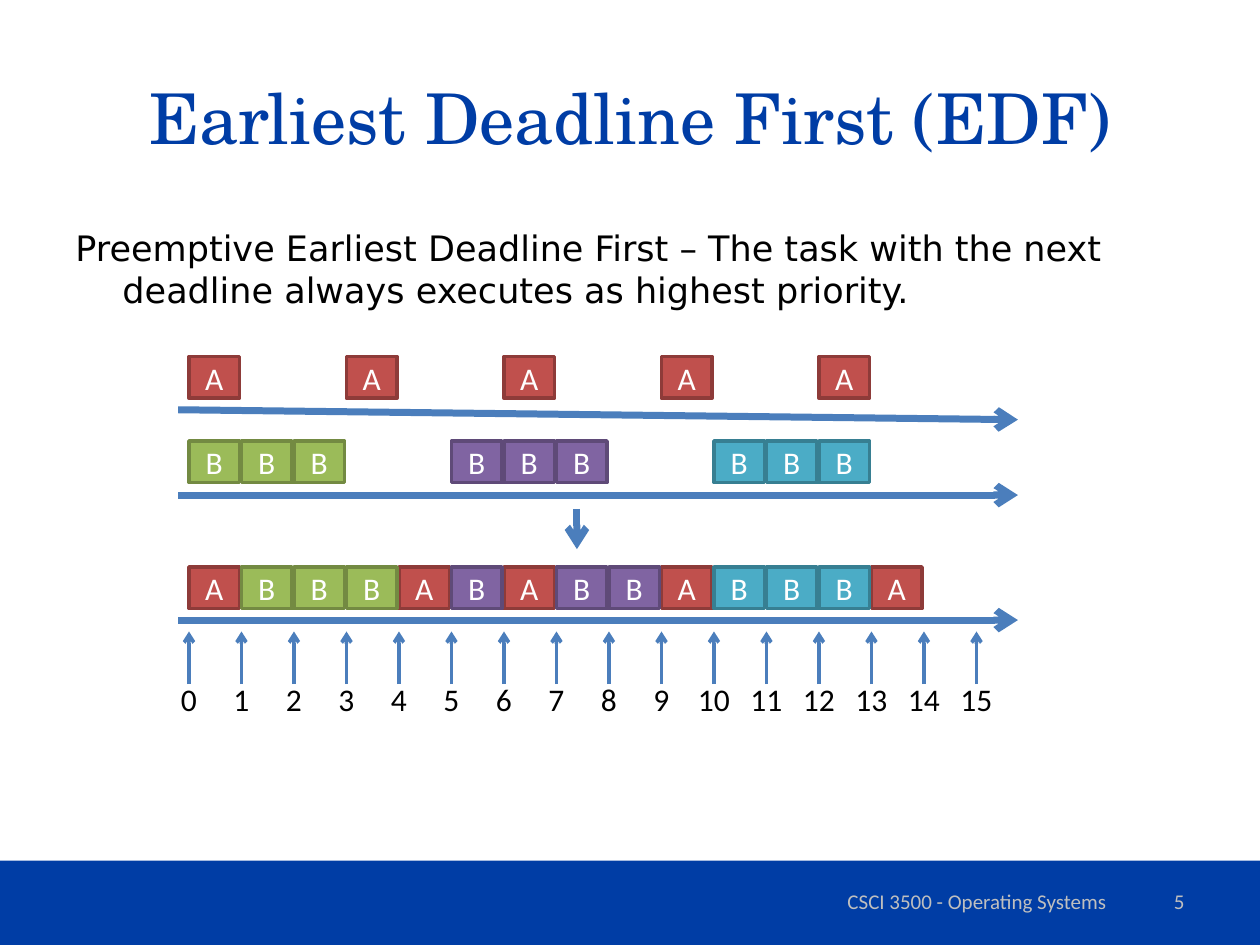
from lxml.etree import SubElement
from pptx import Presentation
from pptx.dml.color import RGBColor
from pptx.enum.shapes import MSO_CONNECTOR, MSO_SHAPE
from pptx.enum.text import MSO_ANCHOR, PP_ALIGN
from pptx.oxml.ns import qn
from pptx.util import Cm, Pt

# Content
TITLE = "Earliest Deadline First (EDF)"
BODY = ("Preemptive Earliest Deadline First – The task with the next "
        "deadline always executes as highest priority.")
FOOTER = "CSCI 3500 - Operating Systems"
PAGE = "5"

# Each job: label, fill, outline
JOBS = {
    "a": ("A", "C0504D", "8E3B39"),
    "b1": ("B", "9BBB59", "738A42"),
    "b2": ("B", "8064A2", "5F4A78"),
    "b3": ("B", "4BACC6", "377F92"),
}
# Each timeline: box top, axis start y, axis end y, jobs with their time slots
TIMELINES = [
    (7.19, 8.26, 8.46, {"a": [0, 3, 6, 9, 12]}),
    (8.89, 9.98, 9.98, {"b1": [0, 1, 2], "b2": [5, 6, 7], "b3": [10, 11, 12]}),
    (11.43, 12.5, 12.5, {"a": [0, 4, 6, 9, 13], "b1": [1, 2, 3],
                         "b2": [5, 7, 8], "b3": [10, 11, 12]}),
]
TICKS = range(16)

# Grid in centimetres
START, SLOT = 3.81, 12.7 / 12
BOX_W, BOX_H = 1.02, 0.84
AXIS_LEFT, AXIS_RIGHT = 3.59, 20.52
TICK_TOP, TICK_BOTTOM = 12.73, 13.79
LABEL_TOP, LABEL_H = 13.59, 1.02

BLUE, ARROW, GREY, BLACK, WHITE = "003DA5", "4B7EBC", "BFBFBF", "000000", "FFFFFF"


def color(hex_value):
    return RGBColor.from_string(hex_value)


def write(sp, text, size, font_color, font="Calibri", align=PP_ALIGN.CENTER,
          anchor=MSO_ANCHOR.MIDDLE, wrap=True):
    tf = sp.text_frame
    tf.word_wrap, tf.vertical_anchor = wrap, anchor
    p = tf.paragraphs[0]
    p.alignment = align
    r = p.add_run()
    r.text = text
    for name, value in {"name": font, "size": Pt(size), "bold": False}.items():
        setattr(r.font, name, value)
    r.font.color.rgb = color(font_color)
    return p


def add_text(s, box, text, size, font_color, **options):
    sp = s.shapes.add_textbox(*map(Cm, box))
    return write(sp, text, size, font_color, **options)


def add_rect(s, box, fill, outline=None):
    sp = s.shapes.add_shape(MSO_SHAPE.RECTANGLE, *map(Cm, box))
    sp.shadow.inherit = False
    sp.fill.solid()
    sp.fill.fore_color.rgb = color(fill)
    if outline:
        sp.line.color.rgb = color(outline)
        sp.line.width = Pt(2)
    else:
        sp.line.fill.background()
    return sp


def add_arrow(s, x1, y1, x2, y2, width):
    line = s.shapes.add_connector(MSO_CONNECTOR.STRAIGHT, *map(Cm, (x1, y1, x2, y2)))
    line.line.color.rgb = color(ARROW)
    line.line.width = Pt(width)
    SubElement(line.line._get_or_add_ln(), qn("a:tailEnd"), type="arrow")
    SubElement(line._element.spPr, qn("a:effectLst"))


def main():
    prs = Presentation()
    prs.slide_width, prs.slide_height = Cm(25.4), Cm(19.05)
    s = prs.slides.add_slide(prs.slide_layouts[5])

    # Footer band
    add_rect(s, (0, 17.35, 25.4, 1.7), BLUE)
    add_text(s, (15.67, 17.65, 8.05, 1.02), FOOTER, 12, GREY)
    add_text(s, (18.21, 17.65, 5.92, 1.02), PAGE, 12, GREY, align=PP_ALIGN.RIGHT)

    # Title
    title = s.shapes.title
    title.left, title.top, title.width, title.height = map(Cm, (1.27, 0.76, 22.86, 3.18))
    write(title, TITLE, 40, BLUE, font="TeX Gyre Schola")

    # Definition with a hanging indent
    p = add_text(s, (1.27, 4.45, 22.86, 2.2), BODY, 20, BLACK, font="DejaVu Sans",
                 align=PP_ALIGN.LEFT, anchor=MSO_ANCHOR.TOP)
    pPr = p._p.get_or_add_pPr()
    pPr.set("marL", str(Cm(0.95)))
    pPr.set("indent", str(Cm(-0.95)))

    # Timelines
    for top, y1, y2, jobs in TIMELINES:
        add_arrow(s, AXIS_LEFT, y1, AXIS_RIGHT, y2, 4)
        for job, slots in jobs.items():
            label, fill, outline = JOBS[job]
            for slot in slots:
                sp = add_rect(s, (START + slot * SLOT, top, BOX_W, BOX_H), fill, outline)
                write(sp, label, 18, WHITE)

    # From the task timelines to the schedule
    add_arrow(s, 11.63, 10.26, 11.63, 11.07, 4)

    # Time ticks
    for tick in TICKS:
        x = START + tick * SLOT
        width = 0.84 if tick < 10 else 1.17
        add_arrow(s, x, TICK_BOTTOM, x, TICK_TOP, 2)
        add_text(s, (x - width / 2, LABEL_TOP, width, LABEL_H), str(tick), 18, BLACK,
                 anchor=MSO_ANCHOR.TOP, wrap=False)

    prs.save("out.pptx")


if __name__ == "__main__":
    main()
